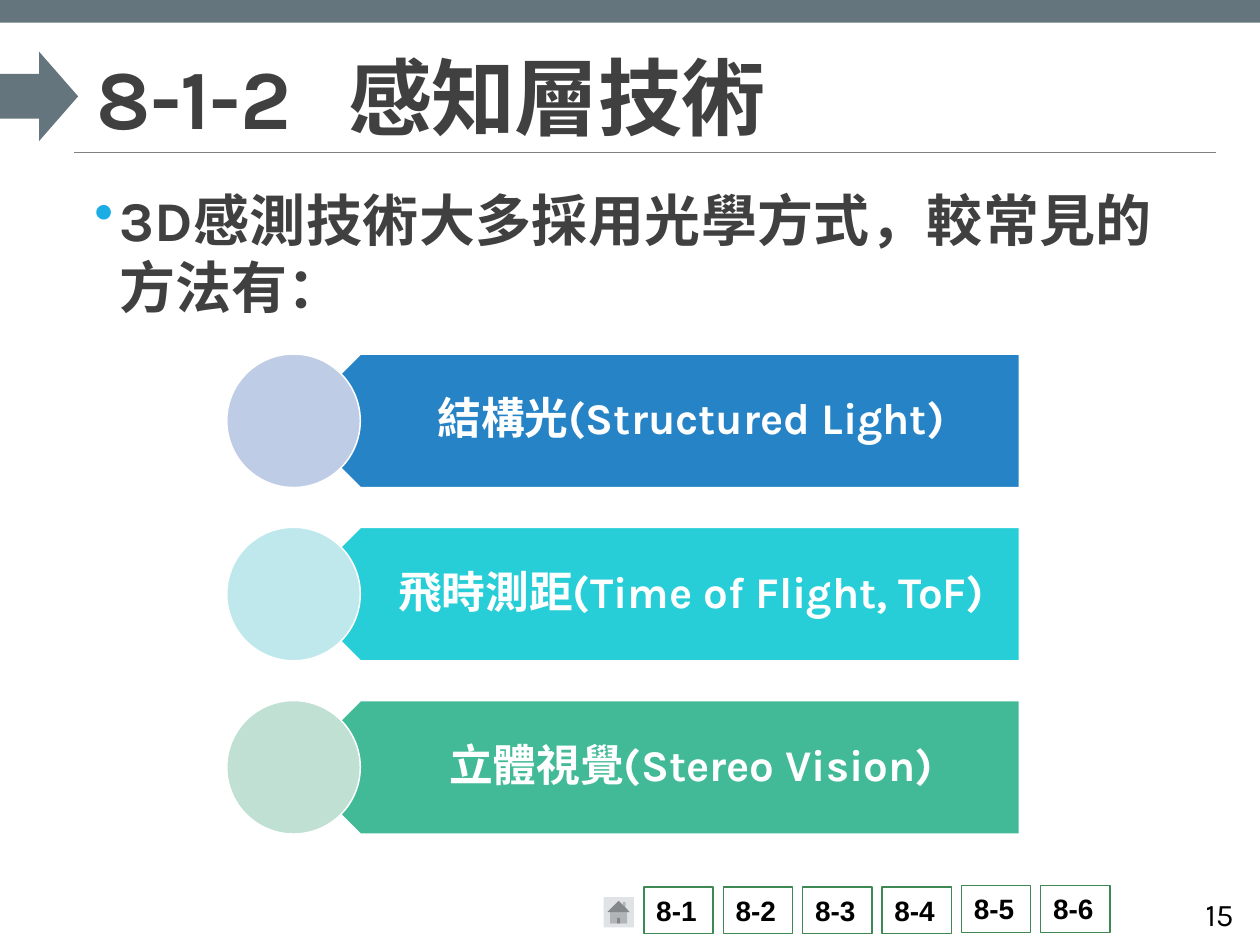
from dataclasses import dataclass

from lxml import etree
from pptx import Presentation
from pptx.dml.color import RGBColor
from pptx.enum.shapes import MSO_CONNECTOR, MSO_SHAPE
from pptx.enum.text import MSO_ANCHOR, PP_ALIGN
from pptx.oxml.ns import qn
from pptx.util import Inches, Pt

RECT, ARROW = MSO_SHAPE.RECTANGLE, MSO_SHAPE.RIGHT_ARROW
PLATE, OVAL = MSO_SHAPE.PENTAGON, MSO_SHAPE.OVAL
HOME = MSO_SHAPE.ACTION_BUTTON_HOME
STRAIGHT = MSO_CONNECTOR.STRAIGHT
TOP, MIDDLE, BOTTOM = MSO_ANCHOR.TOP, MSO_ANCHOR.MIDDLE, MSO_ANCHOR.BOTTOM
LEFT, CENTER, RIGHT = PP_ALIGN.LEFT, PP_ALIGN.CENTER, PP_ALIGN.RIGHT
JUSTIFY = PP_ALIGN.JUSTIFY


@dataclass(frozen=True)
class Theme:
    """Colours, fonts and type sizes of the slide."""
    slate: str = "65757D"
    rule: str = "808080"
    ink: str = "404040"
    black: str = "000000"
    white: str = "FFFFFF"
    green: str = "3E8853"
    home: str = "DFE3E5"
    bullet: str = "1CADE4"
    face: str = "Karla"
    nav_face: str = "Arial"
    title: int = 48
    body: int = 32
    label: int = 25
    page: int = 18
    nav: int = 16
    thin: float = 0.85


THEME = Theme()
INSET = (0.1, 0.05, 0.1, 0.05)
METHODS = [
    ("結構光(Structured Light)", "2683C6", "BECDE5"),
    ("飛時測距(Time of Flight, ToF)", "27CED7", "BEE8EC"),
    ("立體視覺(Stereo Vision)", "42BA97", "C0E0D3"),
]


def shape(slide, kind, box, fill, line=None):
    """Add a flat preset shape."""
    item = slide.shapes.add_shape(kind, *map(Inches, box))
    item.shadow.inherit = False
    item.fill.solid()
    item.fill.fore_color.rgb = RGBColor.from_string(fill)
    if line:
        item.line.color.rgb = RGBColor.from_string(line)
        item.line.width = Pt(THEME.thin)
    else:
        item.line.fill.background()
    return item


def write(item, words, size, color, face=THEME.face, bold=True,
          align=LEFT, anchor=TOP, inset=INSET):
    """Put one styled paragraph into a shape and return it."""
    frame = item.text_frame
    frame.word_wrap = True
    frame.vertical_anchor = anchor
    (frame.margin_left, frame.margin_top,
     frame.margin_right, frame.margin_bottom) = map(Inches, inset)
    para = frame.paragraphs[0]
    para.text = words
    para.alignment = align
    font = para.font
    font.name, font.size, font.bold = face, Pt(size), bold
    font.color.rgb = RGBColor.from_string(color)
    return para


def text(slide, box, words, size, color, **style):
    """Add a text box with one paragraph."""
    item = slide.shapes.add_textbox(*map(Inches, box))
    return write(item, words, size, color, **style)


def header(slide, x, y, w):
    """Draw the top band, arrow, title and rule."""
    rule = slide.shapes.add_connector(
        STRAIGHT, Inches(x + 0.59), Inches(y + 1.21),
        Inches(x + w - 0.35), Inches(y + 1.21))
    rule.line.color.rgb = RGBColor.from_string(THEME.rule)
    rule.line.width = Pt(0.5)
    etree.SubElement(rule._element.spPr, qn("a:effectLst"))
    shape(slide, RECT, (x, y, w, 0.18), THEME.slate)
    shape(slide, ARROW, (x, y + 0.41, 0.62, 0.71), THEME.slate)
    para = text(slide, (x + 0.67, y + 0.31, w - 1.02, 0.9),
                "8-1-2\t感知層技術", THEME.title, THEME.ink, anchor=BOTTOM)
    para.line_spacing = 0.85
    for run in para.runs:
        run._r.get_or_add_rPr().set("spc", "-50")


def body(slide, box):
    """Write the bulleted lead sentence."""
    para = text(slide, box, "", THEME.body, THEME.ink,
                align=JUSTIFY, inset=(0, 0.05, 0, 0.05))
    props = para._p.get_or_add_pPr()
    props.set("marL", str(Inches(0.2)))
    props.set("indent", str(Inches(-0.2)))
    tint = etree.Element(qn("a:buClr"))
    etree.SubElement(tint, qn("a:srgbClr")).set("val", THEME.bullet)
    mark = etree.Element(qn("a:buChar"))
    mark.set("char", "•")
    props.insert(0, tint)
    props.insert(1, mark)
    para.add_run().text = "3D感測技術大多採用光學方式，較常見的方法有："


def method(slide, x, y, w, h, words, fill, tint):
    """Draw one pointed bar with its label and circle."""
    half = h / 2
    plate = shape(slide, PLATE, (x + half, y, w - half, h), fill, THEME.white)
    plate.rotation = 180
    para = text(slide, (x + 0.8, y, w - 0.8, h), words, THEME.label,
                THEME.white, align=CENTER, anchor=MIDDLE,
                inset=(0.47, 0.1, 0.19, 0.1))
    para.line_spacing = 0.9
    shape(slide, OVAL, (x, y, h, h), tint, THEME.white)


def methods(slide, x, y, w, h):
    """Stack the method bars at an even pitch."""
    bar = 1.06
    pitch = (h - bar) / (len(METHODS) - 1)
    for i, row in enumerate(METHODS):
        method(slide, x, y + i * pitch, w, bar, *row)


def footer(slide, x, y):
    """Draw the home button, section buttons and page number."""
    shape(slide, HOME, (x, y + 0.09, 0.24, 0.24), THEME.home)
    for i in range(6):
        top = y + (0.01 if i < 4 else 0)
        tab = shape(slide, RECT, (x + 0.32 + 0.63 * i, top, 0.55, 0.37),
                    THEME.white, THEME.green)
        write(tab, f"8-{i + 1}", THEME.nav, THEME.black, face=THEME.nav_face)
    text(slide, (x + 4.02, y + 0.02, 1.08, 0.4), "15", THEME.page,
         THEME.black, bold=False, align=RIGHT, anchor=MIDDLE)


def main():
    """Build and save the slide."""
    deck = Presentation()
    deck.slide_width, deck.slide_height = Inches(10), Inches(7.5)
    slide = deck.slides.add_slide(deck.slide_layouts[6])
    header(slide, 0, 0, 10)
    body(slide, (0.75, 1.42, 8.4, 1.2))
    methods(slide, 1.8, 2.81, 6.29, 3.81)
    footer(slide, 4.79, 7.03)
    deck.save("out.pptx")


if __name__ == "__main__":
    main()
